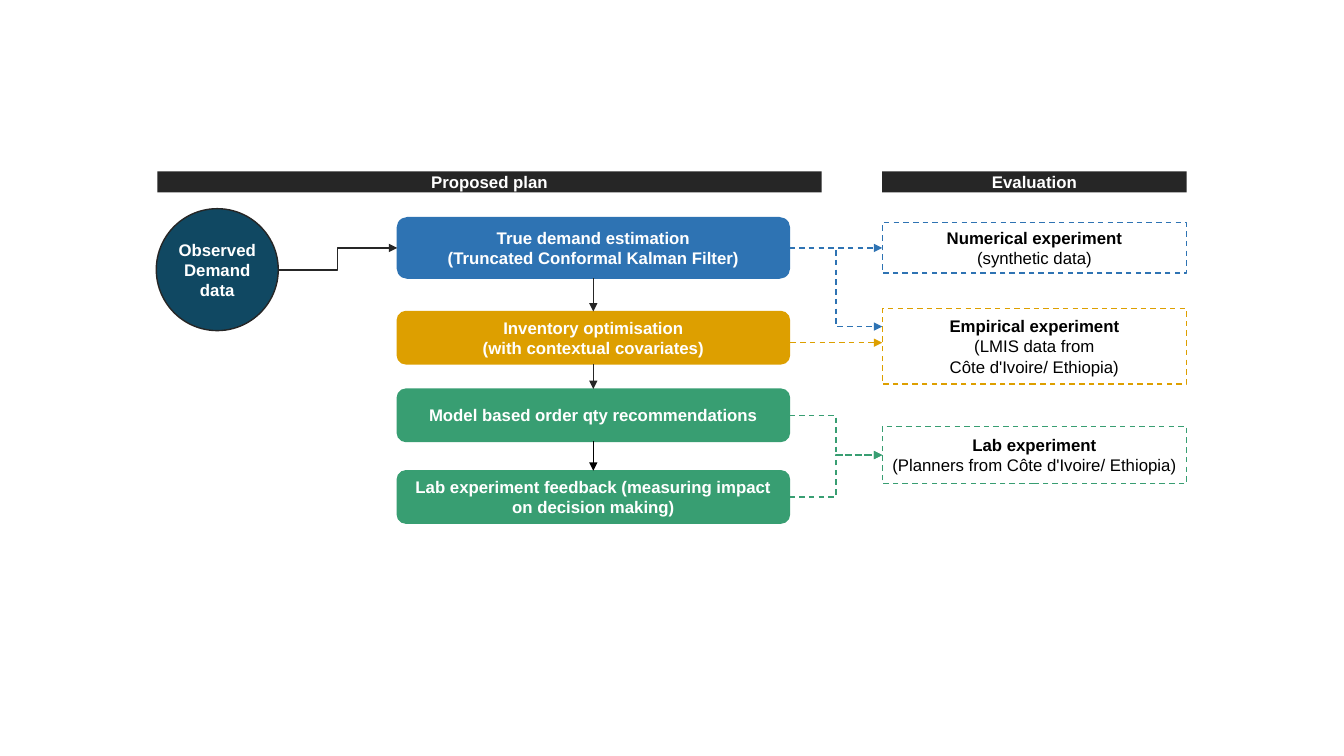
from dataclasses import dataclass

from lxml import etree
from pptx import Presentation
from pptx import util as u
from pptx.dml.color import RGBColor
from pptx.enum import dml, shapes, text
from pptx.oxml import ns


@dataclass(frozen=True)
class Theme:
    font: str = "Arial"
    size: int = 12
    line_width: int = 1
    dark: str = "262626"
    black: str = "000000"
    white: str = "FFFFFF"
    navy: str = "104862"
    blue: str = "2E73B3"
    gold: str = "DD9F00"
    green: str = "389E72"


THEME = Theme()
TOP, LEFT, BOTTOM, RIGHT = range(4)  # connection sites of a rectangle


def rgb(color):
    return RGBColor.from_string(color)


def write_text(shape, lines, color, bold_lines=None, inset=0.08):
    """Write centred lines; the first bold_lines are bold, or all of them."""
    frame = shape.text_frame
    frame.word_wrap = True
    frame.vertical_anchor = text.MSO_ANCHOR.MIDDLE
    frame.margin_left = frame.margin_right = u.Inches(inset)
    frame.margin_top = frame.margin_bottom = 0
    for index, line in enumerate(lines):
        paragraph = frame.paragraphs[0] if index == 0 else frame.add_paragraph()
        paragraph.alignment = text.PP_ALIGN.CENTER
        run = paragraph.add_run()
        run.text = line
        run.font.name = THEME.font
        run.font.size = u.Pt(THEME.size)
        run.font.bold = bold_lines is None or index < bold_lines
        run.font.color.rgb = rgb(color)


def style_line(line, color, dashed=False):
    line.color.rgb = rgb(color)
    line.width = u.Pt(THEME.line_width)
    if dashed:
        line.dash_style = dml.MSO_LINE.DASH


def add_box(slide, kind, box, fill=None, outline=None, dashed=False):
    shape = slide.shapes.add_shape(kind, *map(u.Inches, box))
    shape.shadow.inherit = False
    if fill:
        shape.fill.solid()
        shape.fill.fore_color.rgb = rgb(fill)
    else:
        shape.fill.background()
    if outline:
        style_line(shape.line, outline, dashed)
    else:
        shape.line.fill.background()
    return shape


def add_header(slide, left, width, label):
    box = (left, 1.7, width, 0.21)
    header = add_box(slide, shapes.MSO_SHAPE.RECTANGLE, box, fill=THEME.dark)
    write_text(header, [label], THEME.white)


def add_step(slide, top, height, color, lines):
    box = (3.94, top, 3.89, height)
    step = add_box(slide, shapes.MSO_SHAPE.ROUNDED_RECTANGLE, box, color, color)
    write_text(step, lines, THEME.white)
    return step


def add_experiment(slide, top, height, color, lines):
    box = (8.75, top, 3.02, height)
    experiment = add_box(slide, shapes.MSO_SHAPE.RECTANGLE, box,
                         outline=color, dashed=True)
    write_text(experiment, lines, THEME.black, bold_lines=1)
    return experiment


def add_arrow(slide, start, end, color, elbow=False, dashed=False, head=True):
    """Each end is a point in inches, or a shape with a connection site."""
    kind = shapes.MSO_CONNECTOR.ELBOW if elbow else shapes.MSO_CONNECTOR.STRAIGHT
    arrow = slide.shapes.add_connector(kind, 0, 0, 0, 0)
    if hasattr(start[0], "left"):
        arrow.begin_connect(*start)
    else:
        arrow.begin_x, arrow.begin_y = map(u.Inches, start)
    if hasattr(end[0], "left"):
        arrow.end_connect(*end)
    else:
        arrow.end_x, arrow.end_y = map(u.Inches, end)
    style_line(arrow.line, color, dashed)
    if head:
        line = arrow.line._get_or_add_ln()
        etree.SubElement(line, ns.qn("a:tailEnd"), type="triangle")
    etree.SubElement(arrow._element.spPr, ns.qn("a:effectLst"))


def main():
    presentation = Presentation()
    presentation.slide_width = u.Inches(13.33)
    presentation.slide_height = u.Inches(7.5)
    slide = presentation.slides.add_slide(presentation.slide_layouts[6])

    # Column headers
    add_header(slide, 1.56, 6.59, "Proposed plan")
    add_header(slide, 8.75, 3.02, "Evaluation")

    # Input data
    data = add_box(slide, shapes.MSO_SHAPE.OVAL, (1.55, 2.07, 1.21, 1.21),
                   THEME.navy, THEME.dark)
    write_text(data, ["Observed", "Demand data"], THEME.white, inset=0)

    # Steps of the plan
    estimation, optimisation, recommendation, feedback = steps = [
        add_step(slide, *step) for step in (
            (2.16, 0.6, THEME.blue,
             ["True demand estimation", "(Truncated Conformal Kalman Filter)"]),
            (3.09, 0.52, THEME.gold,
             ["Inventory optimisation", "(with contextual covariates)"]),
            (3.86, 0.52, THEME.green,
             ["Model based order qty recommendations"]),
            (4.67, 0.52, THEME.green,
             ["Lab experiment feedback (measuring impact on decision making)"]),
        )
    ]

    # Experiments of the evaluation
    numerical, empirical, lab = [
        add_experiment(slide, *experiment) for experiment in (
            (2.21, 0.5, THEME.blue,
             ["Numerical experiment", "(synthetic data)"]),
            (3.06, 0.75, THEME.gold,
             ["Empirical experiment", "(LMIS data from",
              "Côte d'Ivoire/ Ethiopia)"]),
            (4.23, 0.57, THEME.green,
             ["Lab experiment", "(Planners from Côte d'Ivoire/ Ethiopia)"]),
        )
    ]

    # Flow through the plan
    add_arrow(slide, (2.76, 2.68), (estimation, LEFT), THEME.dark, elbow=True)
    for upper, lower in zip(steps, steps[1:]):
        color = THEME.black if lower is feedback else THEME.dark
        add_arrow(slide, (upper, BOTTOM), (lower, TOP), color)

    # Links from the plan to the evaluation
    add_arrow(slide, (estimation, RIGHT), (numerical, LEFT), THEME.blue,
              dashed=True)
    add_arrow(slide, (estimation, RIGHT), (8.75, 3.24), THEME.blue,
              elbow=True, dashed=True)
    add_arrow(slide, (7.84, 3.4), (8.75, 3.4), THEME.gold, dashed=True)
    for step in (recommendation, feedback):
        add_arrow(slide, (step, RIGHT), (lab, LEFT), THEME.green,
                  elbow=True, dashed=True)

    presentation.save("out.pptx")


if __name__ == "__main__":
    main()
